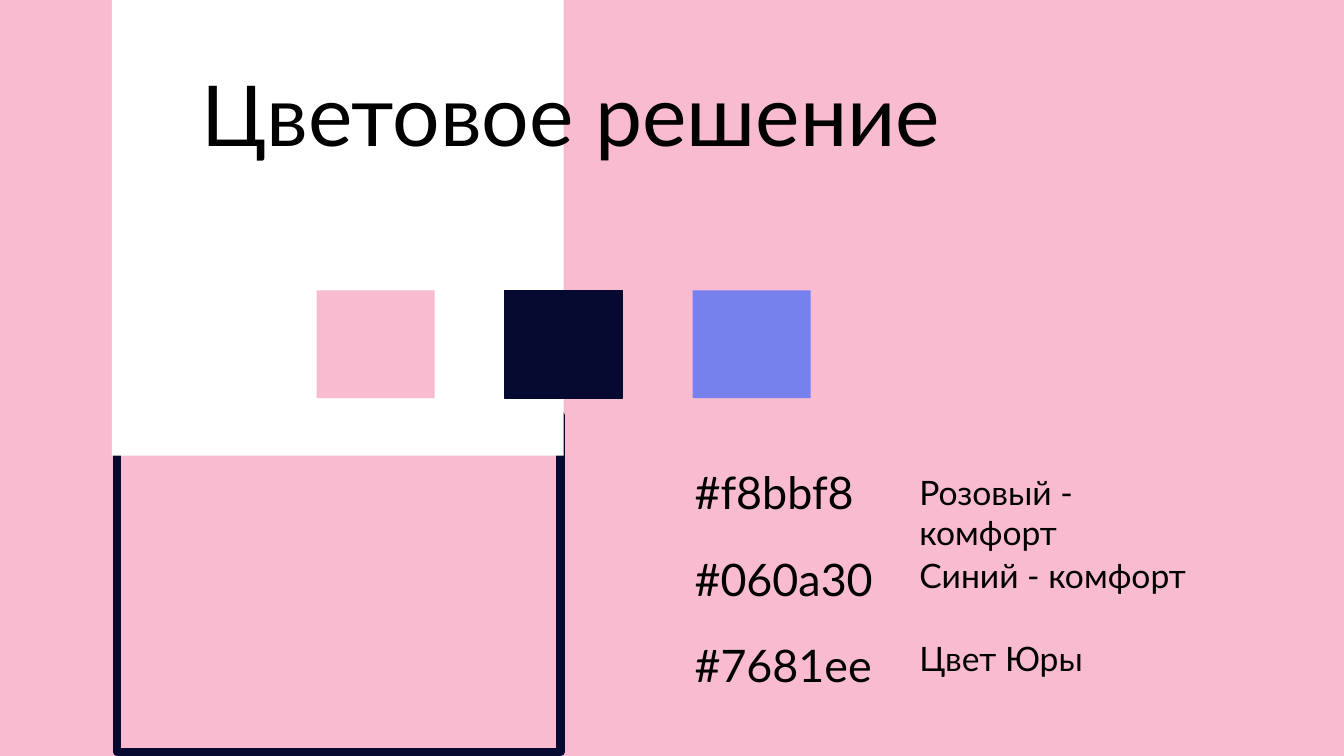
from pptx import Presentation
from pptx.dml.color import RGBColor
from pptx.enum.shapes import MSO_SHAPE
from pptx.enum.text import MSO_ANCHOR, PP_ALIGN
from pptx.util import Inches, Pt

PINK = RGBColor(0xF8, 0xBB, 0xD0)
NAVY = RGBColor(0x06, 0x0A, 0x30)
BLUE = RGBColor(0x76, 0x81, 0xEE)
WHITE = RGBColor(0xFF, 0xFF, 0xFF)
BLACK = RGBColor(0, 0, 0)


def add_box(left, top, width, height, fill=None, line=None, weight=1):
    box = slide.shapes.add_shape(
        MSO_SHAPE.RECTANGLE, Inches(left), Inches(top), Inches(width), Inches(height))
    box.shadow.inherit = False
    if fill is None:
        box.fill.background()
    else:
        box.fill.solid()
        box.fill.fore_color.rgb = fill
    if line is None:
        box.line.fill.background()
    else:
        box.line.color.rgb = line
        box.line.width = Pt(weight)


def set_text(shape, text, size):
    frame = shape.text_frame
    frame.word_wrap = True
    frame.text = text
    font = frame.paragraphs[0].runs[0].font
    font.name = "Lato"
    font.size = Pt(size)
    font.color.rgb = BLACK


deck = Presentation()
deck.slide_width = Inches(13.33)
deck.slide_height = Inches(7.5)
slide = deck.slides.add_slide(deck.slide_layouts[5])
slide.background.fill.solid()
slide.background.fill.fore_color.rgb = PINK

# Navy frame and white panel
add_box(1.16, 4.12, 4.4, 3.34, line=NAVY, weight=6)
add_box(1.11, 0, 4.48, 4.52, fill=WHITE)

# Title, brought in front of the panel
title = slide.shapes.title
title.left, title.top = Inches(1.9), Inches(0.58)
title.width, title.height = Inches(7.96), Inches(1.2)
set_text(title, "Цветовое решение", 60)
title.text_frame.vertical_anchor = MSO_ANCHOR.MIDDLE
title.text_frame.paragraphs[0].alignment = PP_ALIGN.LEFT
title.text_frame.paragraphs[0].line_spacing = 0.9
title.element.getparent().append(title.element)

# Colour swatches
for col, (color, edge) in enumerate([(PINK, None), (NAVY, NAVY), (BLUE, None)]):
    add_box(3.14 + 1.865 * col, 2.88, 1.17, 1.07, fill=color, line=edge)

# Colour codes and their meanings
rows = [
    ("#f8bbf8", "Розовый - комфорт", 3.14),
    ("#060a30", "Синий - комфорт", 3.03),
    ("#7681ee", "Цвет Юры", 3.03),
]
for row, (code, note, width) in enumerate(rows):
    label = slide.shapes.add_textbox(
        Inches(6.79), Inches(4.56 + 0.86 * row), Inches(2.84), Inches(0.64))
    set_text(label, code, 32)
    label = slide.shapes.add_textbox(
        Inches(9.02), Inches(4.63 + 0.825 * row), Inches(width), Inches(0.5))
    set_text(label, note, 24)

deck.save("out.pptx")
